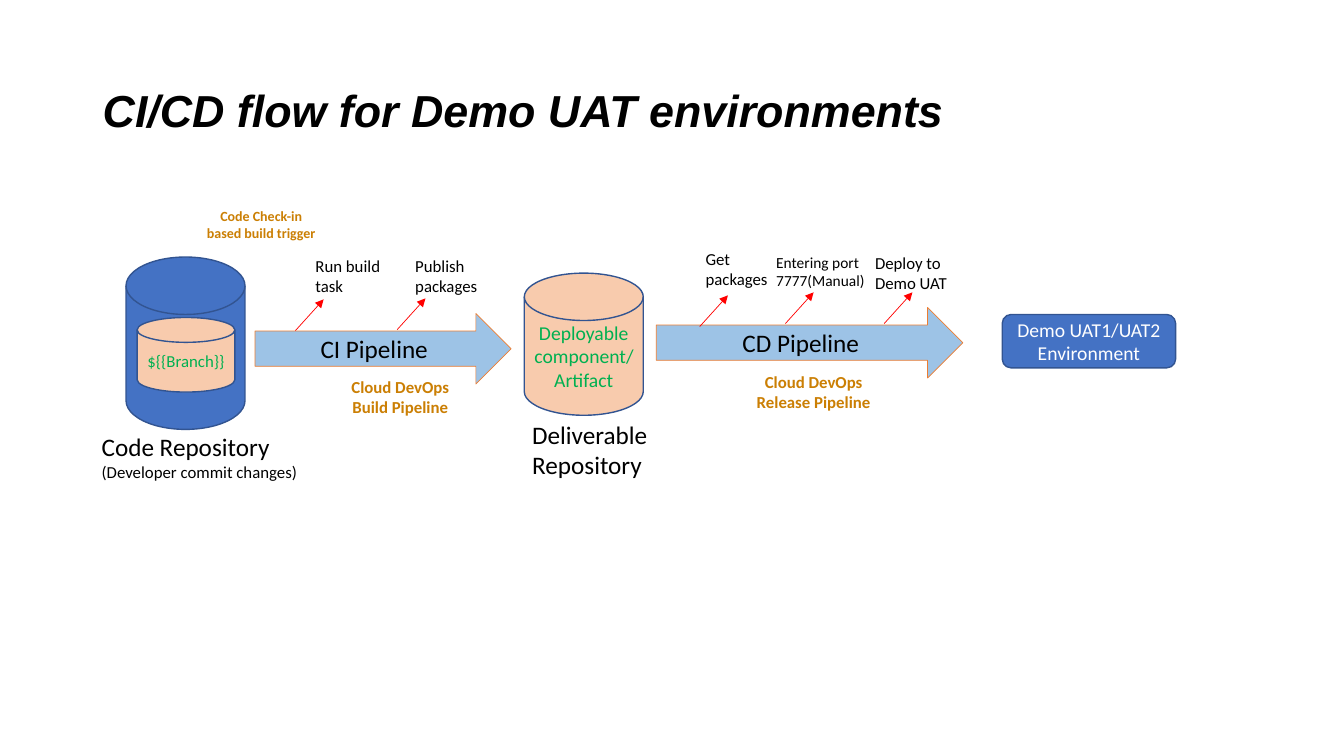
import dataclasses
import typing

import pptx
import pptx.dml.color
import pptx.enum.shapes
import pptx.enum.text
import pptx.oxml
import pptx.oxml.ns
import pptx.slide
import pptx.text.text
import pptx.util

Inches = pptx.util.Inches
Pt = pptx.util.Pt
Kind = pptx.enum.shapes.MSO_SHAPE
Align = pptx.enum.text.PP_ALIGN
Anchor = pptx.enum.text.MSO_ANCHOR
DISK = Kind.FLOWCHART_MAGNETIC_DISK
ARROW = Kind.RIGHT_ARROW
BLACK, WHITE, GREEN, GOLD = "000000", "FFFFFF", "00B050", "CB7F04"
BLUE, NAVY, PEACH, SKY, ORANGE, RED = (
    "4472C4", "325491", "F8CBAD", "9DC3E6", "ED7D31", "FF0000")


class Box(typing.NamedTuple):
    left: float
    top: float
    width: float
    height: float


class Line(typing.NamedTuple):
    text: str
    size: float


@dataclasses.dataclass
class Label:
    box: Box
    lines: list[Line]
    color: str = BLACK
    center: bool = False
    bold: bool = False
    title: bool = False


@dataclasses.dataclass
class Block:
    kind: Kind
    box: Box
    fill: str
    edge: str
    weight: float
    lines: list[Line]
    color: str = BLACK


def paint(color: str) -> pptx.dml.color.RGBColor:
    return pptx.dml.color.RGBColor.from_string(color)


def place(box: Box) -> list[int]:
    return [Inches(value) for value in box]


def write(frame: pptx.text.text.TextFrame, lines: list[Line], color: str,
          center: bool, bold: bool = False, title: bool = False) -> None:
    frame.word_wrap = True
    for index, line in enumerate(lines):
        para = frame.add_paragraph() if index else frame.paragraphs[0]
        para.alignment = Align.CENTER if center else Align.LEFT
        if title:
            para.line_spacing = 0.9
        run = para.add_run()
        run.text = line.text
        font = run.font
        font.name = "Arial" if title else "Calibri"
        font.size = Pt(line.size)
        font.bold = bold
        font.italic = title
        font.color.rgb = paint(color)


def add_label(slide: pptx.slide.Slide, label: Label) -> None:
    frame = slide.shapes.add_textbox(*place(label.box)).text_frame
    frame.vertical_anchor = Anchor.MIDDLE if label.title else Anchor.TOP
    write(frame, label.lines, label.color, label.center, label.bold, label.title)


def add_block(slide: pptx.slide.Slide, block: Block) -> None:
    shape = slide.shapes.add_shape(block.kind, *place(block.box))
    shape.shadow.inherit = False
    shape.fill.solid()
    shape.fill.fore_color.rgb = paint(block.fill)
    shape.line.color.rgb = paint(block.edge)
    shape.line.width = Pt(block.weight)
    shape.text_frame.vertical_anchor = Anchor.MIDDLE
    write(shape.text_frame, block.lines, block.color, True)


def add_tick(slide: pptx.slide.Slide, left: float, base: float) -> None:
    tick = slide.shapes.add_connector(
        pptx.enum.shapes.MSO_CONNECTOR.STRAIGHT,
        Inches(left), Inches(base), Inches(left + 0.28), Inches(base - 0.31))
    tick.line.color.rgb = paint(RED)
    tick.line.width = Pt(0.5)
    tail = pptx.oxml.ns.qn("a:tailEnd")
    tick.line._get_or_add_ln().append(
        pptx.oxml.parse_xml(
            f'<a:tailEnd {pptx.oxml.ns.nsdecls("a")} type="triangle"/>'))
    assert tick.line._get_or_add_ln().find(tail) is not None
    tick._element.spPr.append(
        pptx.oxml.parse_xml(f'<a:effectLst {pptx.oxml.ns.nsdecls("a")}/>'))


BLOCKS = [
    Block(DISK, Box(1.25, 2.55, 1.18, 1.71), BLUE, NAVY, 1, []),
    Block(DISK, Box(1.36, 3.15, 0.97, 0.74), PEACH, NAVY, 1,
          [Line("${{Branch}}", 12)], GREEN),
    Block(ARROW, Box(2.53, 3.11, 2.54, 0.7), SKY, ORANGE, 0.5,
          [Line("CI Pipeline", 18)]),
    Block(DISK, Box(5.2, 2.71, 1.18, 1.41), PEACH, NAVY, 1,
          [Line("Deployable component/Artifact", 14)], GREEN),
    Block(ARROW, Box(6.51, 3.05, 3.04, 0.7), SKY, ORANGE, 0.5,
          [Line("CD Pipeline", 18)]),
    Block(Kind.ROUNDED_RECTANGLE, Box(9.94, 3.12, 1.72, 0.53), BLUE, NAVY, 1,
          [Line("Demo UAT1/UAT2", 14), Line("Environment", 14)], WHITE),
]

LABELS = [
    Label(Box(0.92, 0.4, 11.5, 1.45),
          [Line("CI/CD flow for Demo UAT environments", 32)],
          bold=True, title=True),
    Label(Box(0.91, 4.23, 2.2, 0.61),
          [Line("Code Repository", 18), Line("(Developer commit changes)", 12)]),
    Label(Box(5.18, 4.11, 1.4, 0.71), [Line("Deliverable Repository", 18)]),
    Label(Box(3.03, 2.49, 0.92, 0.5), [Line("Run build task", 12)]),
    Label(Box(4.02, 2.49, 0.84, 0.5), [Line("Publish packages", 12)]),
    Label(Box(6.9, 2.42, 0.84, 0.42), [Line("Get packages", 12)]),
    Label(Box(7.6, 2.46, 1.22, 0.47), [Line("Entering port 7777(Manual)", 11)]),
    Label(Box(8.58, 2.46, 0.95, 0.5), [Line("Deploy to Demo UAT", 12)]),
    Label(Box(3.21, 3.69, 1.52, 0.5),
          [Line("Cloud DevOps Build Pipeline", 12)], GOLD, True, True),
    Label(Box(7.31, 3.64, 1.52, 0.5),
          [Line("Cloud DevOps Release Pipeline", 12)], GOLD, True, True),
    Label(Box(1.89, 2.01, 1.4, 0.44),
          [Line("Code Check-in", 10), Line("based build trigger", 10)],
          GOLD, True, True),
]

TICKS = [(2.93, 3.28), (3.94, 3.27), (6.94, 3.24), (7.79, 3.21), (8.77, 3.21)]


def main() -> None:
    deck = pptx.Presentation()
    deck.slide_width = Inches(13.33)
    deck.slide_height = Inches(7.5)
    slide = deck.slides.add_slide(deck.slide_layouts[6])
    for block in BLOCKS:
        add_block(slide, block)
    for label in LABELS:
        add_label(slide, label)
    for left, base in TICKS:
        add_tick(slide, left, base)
    deck.save("out.pptx")


if __name__ == "__main__":
    main()
